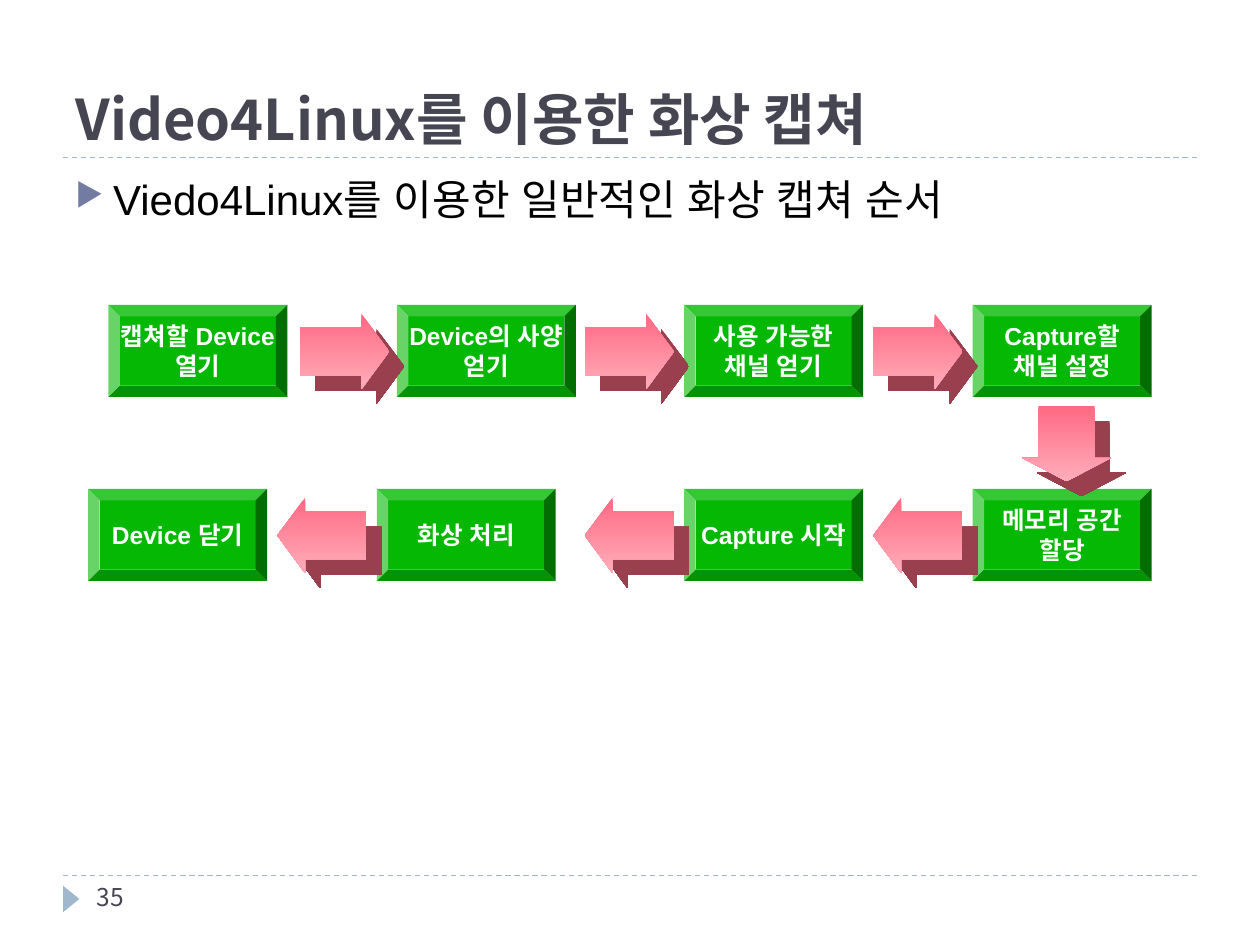
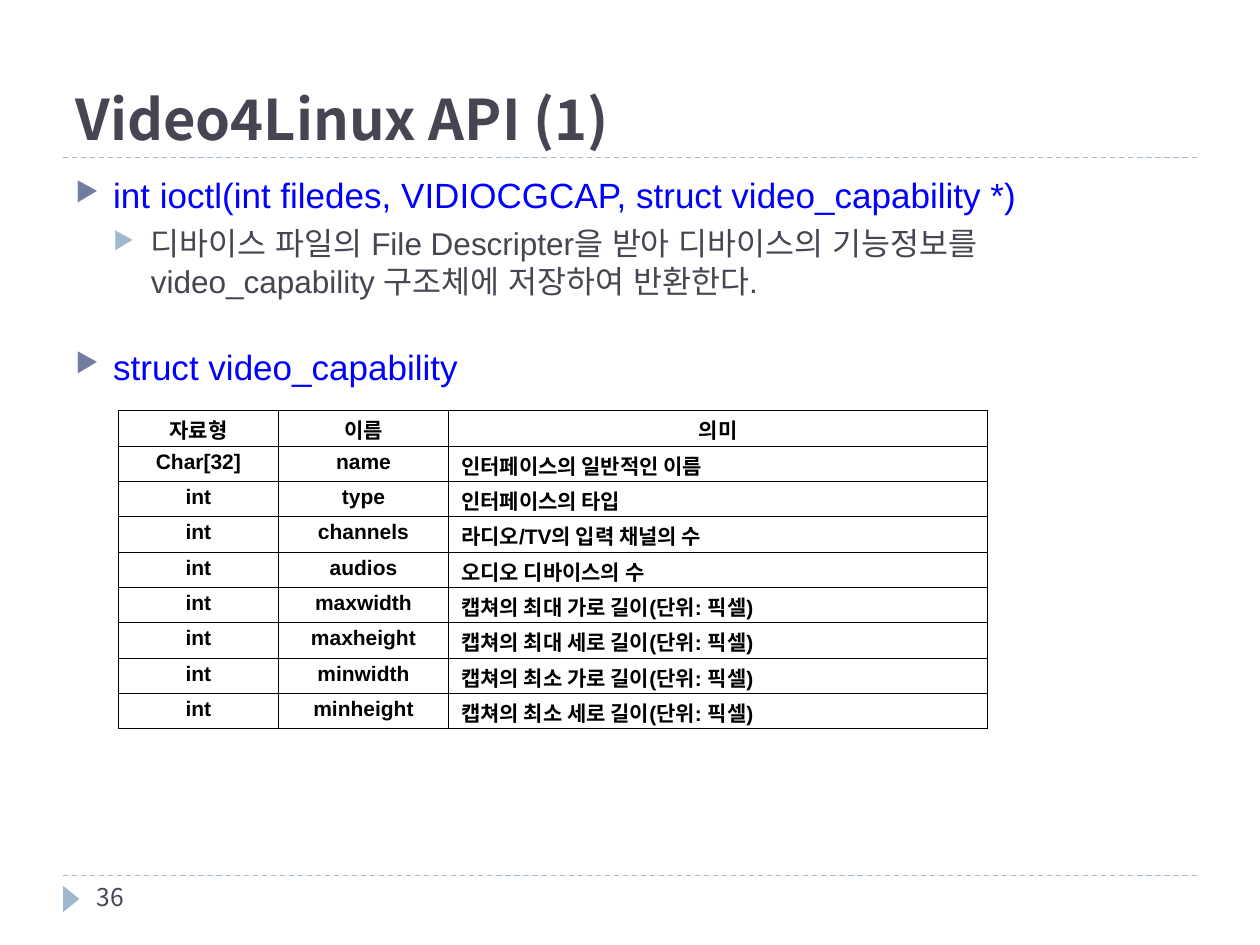
from lxml import etree
from pptx import Presentation
from pptx.dml.color import RGBColor
from pptx.enum.dml import MSO_LINE
from pptx.enum.shapes import MSO_CONNECTOR, MSO_SHAPE as Shape
from pptx.enum.text import MSO_ANCHOR as Anchor, PP_ALIGN as Align
from pptx.oxml.ns import qn
from pptx.util import Inches, Pt

# Shared look
SANS, KOR = "Arial", "Noto Sans CJK KR"
INK, BLUE, BLACK, WHITE = "464653", "0000FF", "000000", "FFFFFF"
PALE, SLATE, GREEN = "9FB8CD", "727CA3", "04B804"
PINK, ROSE, WINE = "FF6982", "FFADBB", "993F4E"

# Flow chart measures
BOX_W, BOX_H = 1.42, 0.73
LONG, WIDE = 0.71, 0.6
TOP_Y, LOW_Y = 2.42, 3.88
ARROW_DY = 0.07
TOP = [(0.86, "캡쳐할 Device 열기"), (3.15, "Device의 사양 얻기"),
       (5.43, "사용 가능한 채널 얻기"), (7.72, "Capture할 채널 설정")]
LOW = [(7.72, "메모리 공간 할당"), (5.43, "Capture 시작"),
       (2.99, "화상 처리"), (0.7, "Device 닫기")]

# Members of the structure
COLS = [1.27, 1.35, 4.28]
ROWS = [
    ("자료형", "이름", "의미"),
    ("Char[32]", "name", "인터페이스의 일반적인 이름"),
    ("int", "type", "인터페이스의 타입"),
    ("int", "channels", "라디오/TV의 입력 채널의 수"),
    ("int", "audios", "오디오 디바이스의 수"),
    ("int", "maxwidth", "캡쳐의 최대 가로 길이(단위: 픽셀)"),
    ("int", "maxheight", "캡쳐의 최대 세로 길이(단위: 픽셀)"),
    ("int", "minwidth", "캡쳐의 최소 가로 길이(단위: 픽셀)"),
    ("int", "minheight", "캡쳐의 최소 세로 길이(단위: 픽셀)"),
]


def rgb(code):
    return RGBColor.from_string(code)


def add_sub(node, tag, **attrs):
    sub = etree.SubElement(node, qn(tag))
    for key, val in attrs.items():
        sub.set(key, str(val))
    return sub


def add_run(para, text, size, color, bold=False, face=SANS, east=SANS):
    run = para.add_run()
    run.text = text
    font = run.font
    font.size, font.bold, font.name = Pt(size), bold, face
    font.color.rgb = rgb(color)
    add_sub(run._r.get_or_add_rPr(), "a:ea", typeface=east)


def add_text(slide, x, y, w, h, anchor=Anchor.TOP):
    box = slide.shapes.add_textbox(Inches(x), Inches(y), Inches(w), Inches(h))
    frame = box.text_frame
    frame.word_wrap = True
    frame.vertical_anchor = anchor
    return frame


def add_shape(slide, kind, x, y, w, h):
    shape = slide.shapes.add_shape(
        kind, Inches(x), Inches(y), Inches(w), Inches(h))
    shape.shadow.inherit = False
    shape.line.fill.background()
    return shape


def fill(shape, color):
    shape.fill.solid()
    shape.fill.fore_color.rgb = rgb(color)


def add_rule(slide, y):
    rule = slide.shapes.add_connector(
        MSO_CONNECTOR.STRAIGHT, Inches(0.5), Inches(y), Inches(9.5), Inches(y))
    rule.line.color.rgb = rgb(PALE)
    rule.line.width = Pt(0.75)
    rule.line.dash_style = MSO_LINE.DASH
    add_sub(rule._element.spPr, "a:effectLst")


def add_page(deck, title, number):
    """Blank slide with its rules, marker, title and page number."""
    slide = deck.slides.add_slide(deck.slide_layouts[6])
    add_rule(slide, 6.95)
    add_rule(slide, 1.25)
    mark = add_shape(slide, Shape.ISOSCELES_TRIANGLE, 0.46, 7.07, 0.21, 0.13)
    mark.rotation = 90
    fill(mark, PALE)
    head = add_text(slide, 0.5, 0.17, 9, 1.08, Anchor.BOTTOM)
    add_run(head.paragraphs[0], title, 32, INK, True, KOR, KOR)
    foot = add_text(slide, 0.67, 6.95, 2.17, 0.4)
    add_run(foot.paragraphs[0], str(number), 14, INK, False, KOR, KOR)
    return slide


def add_list(slide, items):
    """Items are (level, text, size, colour, space before)."""
    frame = add_text(slide, 0.5, 1.33, 9, 5.4)
    for i, (level, text, size, color, gap) in enumerate(items):
        para = frame.add_paragraph() if i else frame.paragraphs[0]
        para.level = level
        if gap:
            para.space_before = Pt(gap)
        props = para._p.get_or_add_pPr()
        props.set("marL", str(Inches(0.3 * (level + 1))))
        props.set("indent", str(Inches(-0.3)))
        tint = add_sub(props, "a:buClr")
        add_sub(tint, "a:srgbClr", val=PALE if level else SLATE)
        add_sub(props, "a:buSzPct", val=76000)
        add_sub(props, "a:buChar", char="▶")
        add_run(para, text, size, color)


def add_step(slide, x, y, text):
    box = add_shape(slide, Shape.BEVEL, x, y, BOX_W, BOX_H)
    fill(box, GREEN)
    frame = box.text_frame
    frame.word_wrap = True
    frame.vertical_anchor = Anchor.MIDDLE
    frame.margin_left = frame.margin_right = 0
    frame.margin_top = frame.margin_bottom = 0
    para = frame.paragraphs[0]
    para.alignment = Align.CENTER
    add_run(para, text, 14, WHITE, True)


def add_arrow(slide, kind, x, y, w=LONG, h=WIDE, tip=0.37):
    arrow = add_shape(slide, kind, x, y, w, h)
    arrow.adjustments[0], arrow.adjustments[1] = 0.63, tip
    arrow.fill.gradient()
    arrow.fill.gradient_angle = 270
    for stop, color in zip(arrow.fill.gradient_stops, (PINK, ROSE)):
        stop.color.rgb = rgb(color)
    # Hard shadow to the lower right
    effects = arrow._element.spPr.find(qn("a:effectLst"))
    shade = add_sub(effects, "a:outerShdw", blurRad=0, dist=Pt(12.1),
                    dir=45 * 60000, algn="ctr", rotWithShape=0)
    add_sub(shade, "a:srgbClr", val=WINE)


def add_grid(slide, x, y, row_h):
    table = slide.shapes.add_table(
        len(ROWS), len(COLS), Inches(x), Inches(y),
        Inches(sum(COLS)), Inches(row_h * len(ROWS))).table
    for col, width in zip(table.columns, COLS):
        col.width = Inches(width)
    for r, row in enumerate(ROWS):
        table.rows[r].height = Inches(row_h)
        for c, text in enumerate(row):
            set_cell(table.cell(r, c), text, r == 0 or c < 2)


def set_cell(cell, text, center):
    props = cell._tc.get_or_add_tcPr()
    for side in "LRTB":
        edge = add_sub(props, "a:ln" + side, w=Pt(0.45))
        add_sub(add_sub(edge, "a:solidFill"), "a:srgbClr", val=BLACK)
    cell.fill.background()
    cell.margin_left = cell.margin_right = Inches(0.1)
    para = cell.text_frame.paragraphs[0]
    para.alignment = Align.CENTER if center else Align.LEFT
    para.line_spacing = 0.9
    add_run(para, text, 12, BLACK, True, SANS, KOR)


def add_flow(slide):
    for y, steps in ((TOP_Y, TOP), (LOW_Y, LOW)):
        for x, text in steps:
            add_step(slide, x, y, text)
    for x in (2.38, 4.64, 6.93):
        add_arrow(slide, Shape.RIGHT_ARROW, x, TOP_Y + ARROW_DY)
    add_arrow(slide, Shape.DOWN_ARROW, 8.11, 3.22, tip=0.31)
    for x, _ in LOW[:-1]:
        add_arrow(slide, Shape.LEFT_ARROW, x - 0.79, LOW_Y + ARROW_DY)


def main():
    deck = Presentation()
    deck.slide_width, deck.slide_height = Inches(10), Inches(7.5)

    # Capture order
    slide = add_page(deck, "Video4Linux를 이용한 화상 캡쳐", 35)
    add_list(slide, [
        (0, "Viedo4Linux를 이용한 일반적인 화상 캡쳐 순서", 24, BLACK, 0)])
    add_flow(slide)

    # Capability call
    slide = add_page(deck, "Video4Linux API (1)", 36)
    add_list(slide, [
        (0, "int ioctl(int filedes, VIDIOCGCAP, struct video_capability *)",
         20, BLUE, 0),
        (1, "디바이스 파일의 File Descripter을 받아 디바이스의 기능정보를 "
            "video_capability 구조체에 저장하여 반환한다.", 18, INK, 5),
        (0, "struct video_capability", 20, BLUE, 26)])
    add_grid(slide, 0.94, 3.26, 0.28)

    deck.save("out.pptx")


if __name__ == "__main__":
    main()
